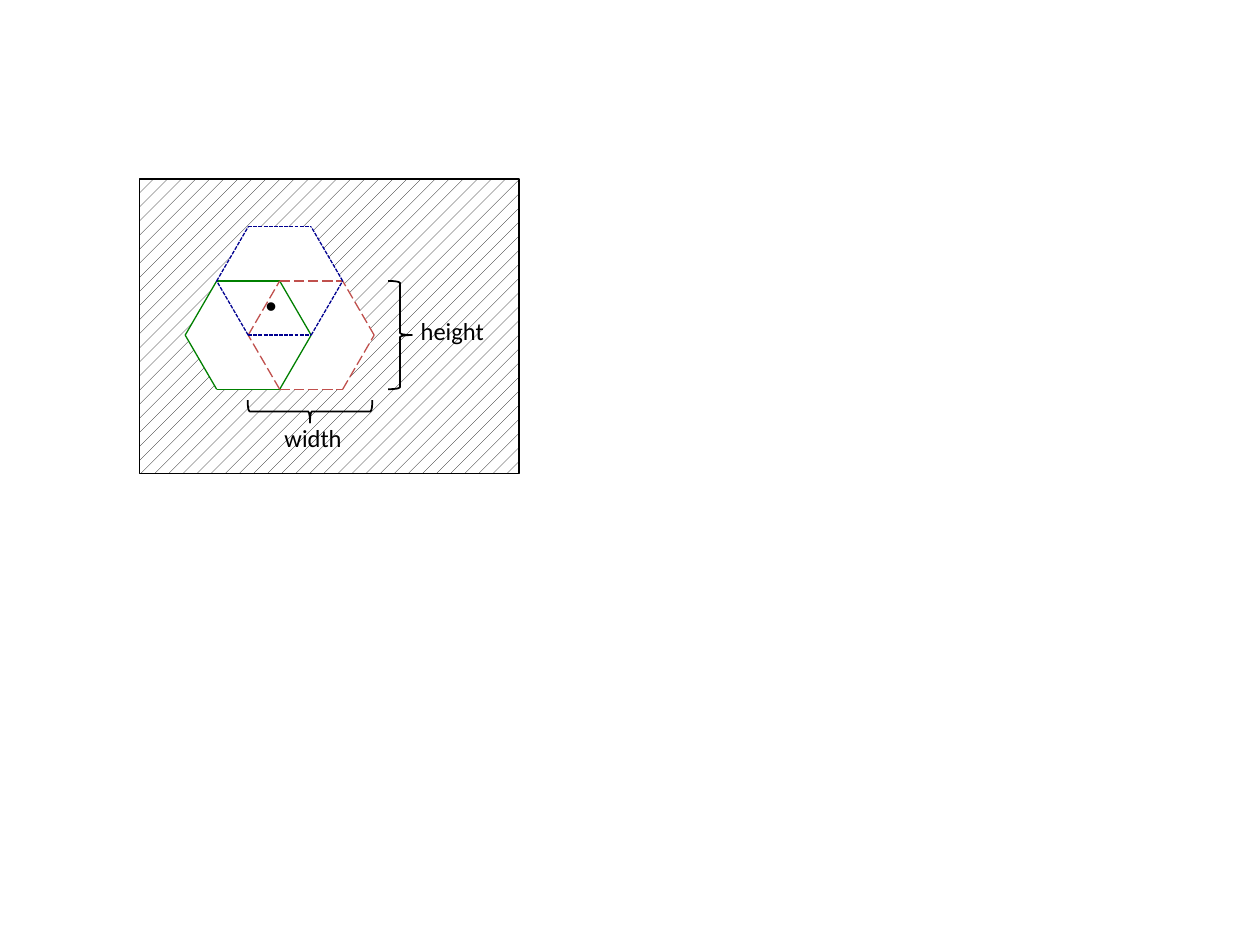
from lxml.etree import SubElement
from pptx import Presentation
from pptx.dml.color import RGBColor
from pptx.enum.dml import MSO_LINE_DASH_STYLE as Dash, MSO_PATTERN_TYPE as Pattern
from pptx.enum.shapes import MSO_CONNECTOR_TYPE as Connector, MSO_SHAPE as Shape
from pptx.enum.text import MSO_AUTO_SIZE as AutoSize
from pptx.oxml.ns import qn
from pptx.util import Inches, Pt

COLORS = {"ink": "000000", "paper": "FFFFFF", "green": "008000",
          "red": "C0504D", "blue": "000090"}
# Hexagon corners lie on a grid of half sides and half heights.
LEFT, TOP, COLUMN, ROW = 1.47, 1.8, 0.25, 0.43


def color(name):
    """Return the named colour."""
    return RGBColor.from_string(COLORS[name])


def grid_point(column, row):
    """Return the slide position of a grid point."""
    return Inches(LEFT + column * COLUMN), Inches(TOP + row * ROW)


presentation = Presentation()
presentation.slide_width, presentation.slide_height = Inches(10), Inches(7.5)
slide = presentation.slides.add_slide(presentation.slide_layouts[6])
shapes = slide.shapes

# Hatched field
field = shapes.add_shape(Shape.RECTANGLE, Inches(1.11), Inches(1.42),
                         Inches(3.01), Inches(2.34))
field.shadow.inherit = False
field.fill.patterned()
field.fill.pattern = Pattern.PERCENT_10
field.fill.fore_color.rgb = color("ink")
field.fill.back_color.rgb = color("paper")
field.line.color.rgb = color("ink")
field.line.width = Pt(0.75)

# White area under the hexagons
outline = [grid_point(*corner) for corner in
           [(0, 2), (2, 0), (4, 0), (6, 2), (5, 3), (1, 3)]]
builder = shapes.build_freeform(*outline[0])
builder.add_line_segments(outline[1:], close=True)
area = builder.convert_to_shape()
area.shadow.inherit = False
area.fill.solid()
area.fill.fore_color.rgb = color("paper")
area.line.fill.background()

# Hexagons: colour, dash and centre; sides run between offsets from the centre
HEXAGONS = [("green", None, 2, 2), ("red", Dash.LONG_DASH, 4, 2),
            ("blue", Dash.SQUARE_DOT, 3, 1)]
SIDES = [((-1, -1), (1, -1)), ((-2, 0), (-1, -1)), ((-1, 1), (-2, 0)),
         ((2, 0), (1, -1)), ((1, 1), (2, 0)), ((-1, 1), (1, 1))]
for name, dash, column, row in HEXAGONS:
    hexagon = shapes.add_group_shape()
    for start, end in SIDES:
        side = hexagon.shapes.add_connector(
            Connector.STRAIGHT,
            *grid_point(column + start[0], row + start[1]),
            *grid_point(column + end[0], row + end[1]))
        side.line.color.rgb = color(name)
        side.line.width = Pt(0.75)
        if dash:
            side.line.dash_style = dash
        SubElement(side._element.spPr, qn("a:effectLst"))

# Braces for height and width
for left, top, width, height, rotation in [(3.08, 2.23, 0.19, 0.86, 0),
                                           (2.37, 2.77, 0.18, 0.99, 90)]:
    brace = shapes.add_shape(Shape.RIGHT_BRACE, Inches(left), Inches(top),
                             Inches(width), Inches(height))
    brace.rotation = rotation
    brace.shadow.inherit = False
    brace.fill.background()
    brace.line.color.rgb = color("ink")
    brace.line.width = Pt(1)

# Labels and centre dot
for text, left, top, width, height, size, font in [
        ("height", 3.24, 2.46, 0.71, 0.34, 14, "Calibri"),
        ("width", 2.16, 3.31, 0.66, 0.34, 14, "Calibri"),
        ("•", 2.01, 2.22, 0.32, 0.4, 18, "Arial")]:
    label = shapes.add_textbox(Inches(left), Inches(top), Inches(width), Inches(height))
    frame = label.text_frame
    frame.word_wrap = False
    frame.auto_size = AutoSize.SHAPE_TO_FIT_TEXT
    paragraph = frame.paragraphs[0]
    paragraph.text = text
    paragraph.font.name = font
    paragraph.font.size = Pt(size)
    paragraph.font.color.rgb = color("ink")

presentation.save("out.pptx")
